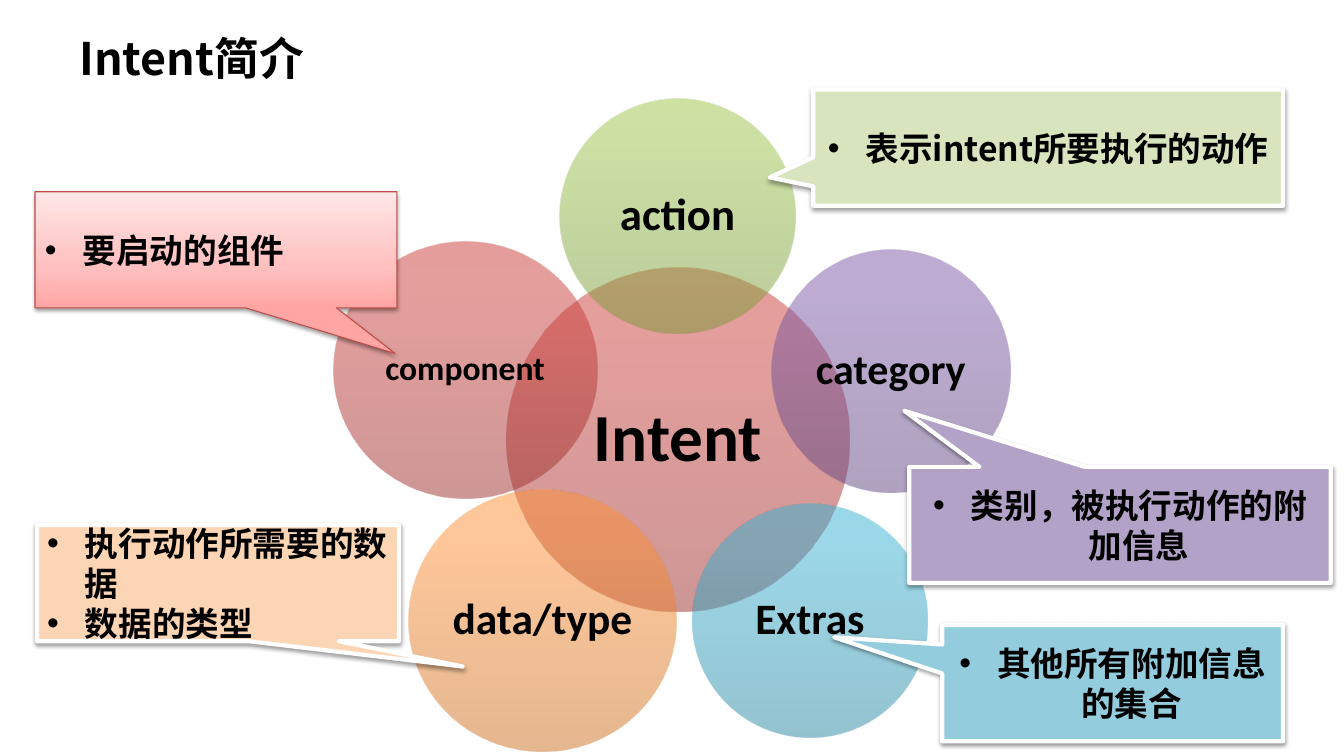
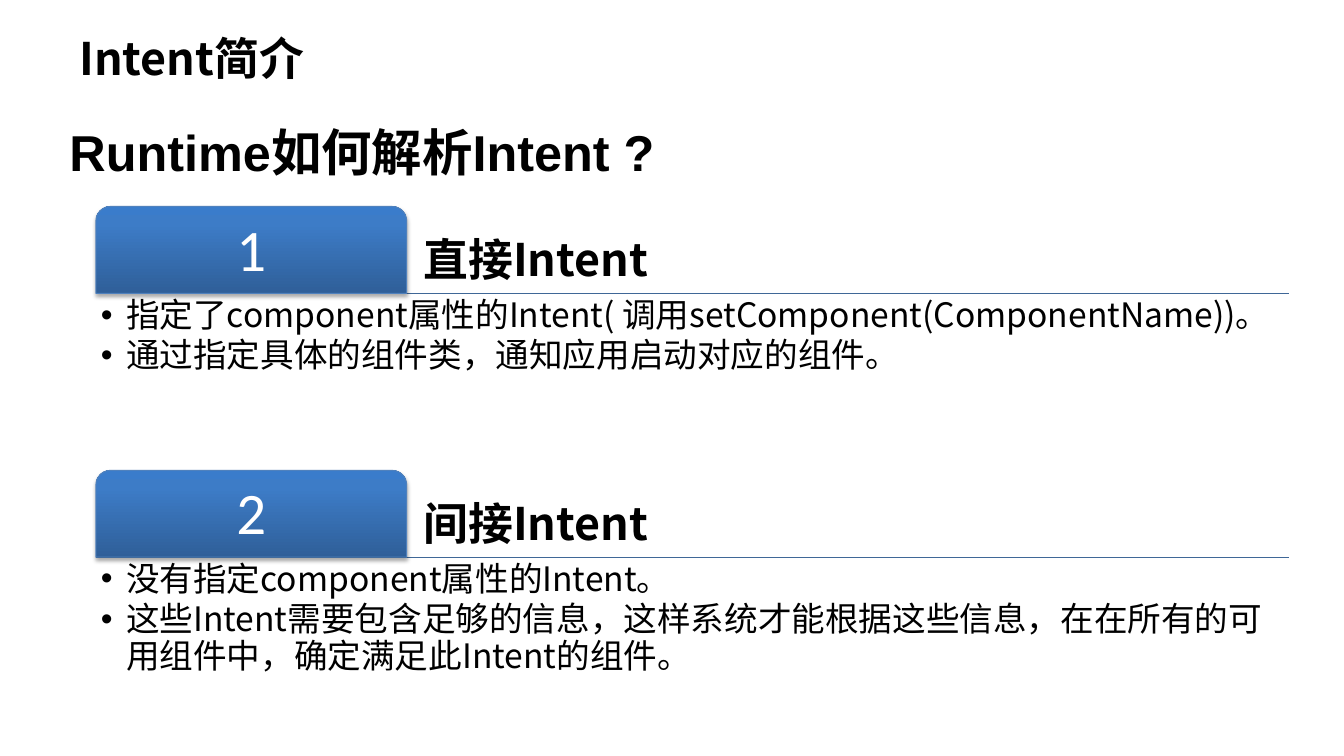
from dataclasses import dataclass

from lxml import etree
from pptx import Presentation
from pptx.dml.color import RGBColor
from pptx.enum.shapes import MSO_CONNECTOR, MSO_SHAPE
from pptx.enum.text import MSO_ANCHOR, MSO_AUTO_SIZE, PP_ALIGN
from pptx.oxml.ns import qn
from pptx.util import Pt

ELLIPSE = MSO_SHAPE.OVAL
CALLOUT = MSO_SHAPE.RECTANGULAR_CALLOUT
TAB = MSO_SHAPE.ROUND_2_SAME_RECTANGLE
STRAIGHT = MSO_CONNECTOR.STRAIGHT
LEFT, CENTER = PP_ALIGN.LEFT, PP_ALIGN.CENTER
TOP, MIDDLE, BOTTOM = MSO_ANCHOR.TOP, MSO_ANCHOR.MIDDLE, MSO_ANCHOR.BOTTOM
NO_AUTOFIT = MSO_AUTO_SIZE.NONE

CJK_FONT, LABEL_FONT, HEADING_FONT = "Noto Sans CJK SC", "Calibri", "Arial"
TWO_CONTENT, TITLE_ONLY = 3, 5

BLACK = RGBColor(0x00, 0x00, 0x00)
WHITE = RGBColor(0xFF, 0xFF, 0xFF)
PEACH = RGBColor(0xFC, 0xD5, 0xB5)
PALE_GREEN = RGBColor(0xD7, 0xE4, 0xBD)
LAVENDER = RGBColor(0xB3, 0xA2, 0xC7)
PALE_AQUA = RGBColor(0x93, 0xCD, 0xDD)
CALLOUT_RED = RGBColor(0xBF, 0x4C, 0x48)
TAB_LINE = RGBColor(0x4F, 0x81, 0xBD)
RULE_BLUE = RGBColor(0x3F, 0x67, 0x97)

Box = tuple[float, float, float, float]
Stops = tuple[tuple[int, RGBColor], ...]


def shaded(dark: RGBColor, middle: RGBColor, light: RGBColor) -> Stops:
    return (0, dark), (80, middle), (100, light)


RED = shaded(RGBColor(0x9C, 0x2F, 0x2D), RGBColor(0xCB, 0x3E, 0x3A), RGBColor(0xCE, 0x3B, 0x37))
GREEN = shaded(RGBColor(0x77, 0x97, 0x37), RGBColor(0x9B, 0xC3, 0x48), RGBColor(0x9D, 0xC7, 0x46))
PURPLE = shaded(RGBColor(0x5F, 0x44, 0x80), RGBColor(0x7B, 0x58, 0xA6), RGBColor(0x7C, 0x57, 0xA8))
AQUA = shaded(RGBColor(0x2A, 0x88, 0xA2), RGBColor(0x37, 0xB1, 0xD2), RGBColor(0x34, 0xB4, 0xD6))
ORANGE = shaded(RGBColor(0xCC, 0x6E, 0x20), RGBColor(0xFF, 0x90, 0x34), RGBColor(0xFF, 0x91, 0x36))
BLUE = shaded(RGBColor(0x2F, 0x5F, 0x99), RGBColor(0x3D, 0x7C, 0xC7), RGBColor(0x3A, 0x7C, 0xCB))
PINK: Stops = ((0, RGBColor(0xFF, 0xA6, 0xA5)), (35, RGBColor(0xFF, 0xC0, 0xBF)),
               (100, RGBColor(0xFF, 0xE7, 0xE7)))


@dataclass(frozen=True)
class TextStyle:
    size: float
    font: str = CJK_FONT
    bold: bool = True
    color: RGBColor = BLACK
    align: PP_ALIGN = LEFT
    line_spacing: float = 1.0
    space_after: float = 0
    indent: float = 0  # hanging indent with a bullet


@dataclass(frozen=True)
class Circle:
    label: str
    box: Box
    size: float
    stops: Stops


@dataclass(frozen=True)
class Callout:
    lines: tuple[str, ...]
    box: Box
    tip: tuple[float, float]
    fill: RGBColor | Stops
    align: PP_ALIGN = CENTER
    line: RGBColor = WHITE
    line_width: float = 3


@dataclass(frozen=True)
class Step:
    heading: str
    points: tuple[str, ...]


TITLE_STYLE = TextStyle(32)
QUESTION_STYLE = TextStyle(36, HEADING_FONT)
HEADING_STYLE = TextStyle(32, line_spacing=0.9)
NUMBER_STYLE = TextStyle(42, LABEL_FONT, False, WHITE, CENTER, 0.9)
POINT_STYLE = TextStyle(24, bold=False, line_spacing=0.9, space_after=3, indent=18)

CIRCLES = (
    Circle("Intent", (361.5, 191.5, 245.5, 245.5), 48, RED),
    Circle("action", (400, 70.5, 168, 168), 32, GREEN),
    Circle("category", (551, 178.5, 170.5, 173), 30, PURPLE),
    Circle("Extras", (494.5, 360, 168, 166.5), 31, AQUA),
    Circle("data/type", (292, 350, 191, 186.5), 31, ORANGE),
    Circle("component", (238, 172.5, 188.5, 183.5), 24, RED),
)
CALLOUTS = (
    Callout(("执行动作所需要的数据", "数据的类型"), (26.5, 375, 258.5, 83),
            (0.676, 0.718), PEACH, LEFT),
    Callout(("表示intent所要执行的动作",), (581, 64, 335.5, 83), (-0.593, 0.256), PALE_GREEN),
    Callout(("类别，被执行动作的附加信息",), (649.5, 333.5, 301, 83), (-0.512, -0.983), LAVENDER),
    Callout(("其他所有附加信息的集合",), (673, 446.5, 243.5, 83), (-0.817, -0.395), PALE_AQUA),
    Callout(("要启动的组件",), (25, 137, 258.5, 83), (0.495, 0.892), PINK, LEFT,
            CALLOUT_RED, 0.75),
)
STEPS = (
    Step("直接Intent", ("指定了component属性的Intent( 调用setComponent(ComponentName))。",
                      "通过指定具体的组件类，通知应用启动对应的组件。")),
    Step("间接Intent", ("没有指定component属性的Intent。",
                      "这些Intent需要包含足够的信息，这样系统才能根据这些信息，"
                      "在在所有的可用组件中，确定满足此Intent的组件。")),
)

# Step grid on the second slide
STEP_LEFT, STEP_RIGHT, STEP_TOP, STEP_PITCH = 68.5, 921, 147.5, 188.5
TAB_WIDTH, TAB_HEIGHT, LIST_HEIGHT = 222, 62, 124


def place(shape, box: Box) -> None:
    shape.left, shape.top, shape.width, shape.height = (Pt(value) for value in box)


def write(shape, lines: tuple[str, ...], style: TextStyle, anchor=TOP,
          insets: Box = (7.2, 3.6, 7.2, 3.6), wrap: bool = True) -> None:
    """Fill a shape with one formatted paragraph per line."""
    frame = shape.text_frame
    frame.auto_size, frame.word_wrap, frame.vertical_anchor = NO_AUTOFIT, wrap, anchor
    (frame.margin_left, frame.margin_top,
     frame.margin_right, frame.margin_bottom) = (Pt(value) for value in insets)
    for index, line in enumerate(lines):
        paragraph = frame.paragraphs[0] if index == 0 else frame.add_paragraph()
        paragraph.alignment = style.align
        paragraph.line_spacing = style.line_spacing
        paragraph.space_before, paragraph.space_after = Pt(0), Pt(style.space_after)
        if style.indent:
            add_bullet(paragraph, style.indent)
        run = paragraph.add_run()
        run.text = line
        run.font.name, run.font.size = style.font, Pt(style.size)
        run.font.bold = style.bold
        run.font.color.rgb = style.color
        east_asian = etree.SubElement(run._r.get_or_add_rPr(), qn("a:ea"))
        east_asian.set("typeface", CJK_FONT)


def add_bullet(paragraph, indent: float) -> None:
    properties = paragraph._p.get_or_add_pPr()
    properties.set("marL", str(Pt(indent)))
    properties.set("indent", str(-Pt(indent)))
    etree.SubElement(properties, qn("a:buFont")).set("typeface", HEADING_FONT)
    etree.SubElement(properties, qn("a:buChar")).set("char", "•")


def add_color(parent, color: RGBColor, opacity: int) -> None:
    element = etree.SubElement(parent, qn("a:srgbClr"), val=str(color))
    if opacity < 100:
        etree.SubElement(element, qn("a:alpha"), val=str(opacity * 1000))


def fill_gradient(shape, stops: Stops, opacity: int = 100) -> None:
    """Shade a shape from bottom to top."""
    shape.fill.gradient()
    shape.fill.gradient_angle = 90
    stop_list = shape._element.spPr.find(qn("a:gradFill")).find(qn("a:gsLst"))
    for old_stop in list(stop_list):
        stop_list.remove(old_stop)
    for position, color in stops:
        stop = etree.SubElement(stop_list, qn("a:gs"), pos=str(position * 1000))
        add_color(stop, color, opacity)


def add_shadow(shape, distance: float, opacity: int) -> None:
    effects = shape._element.spPr.find(qn("a:effectLst"))
    shadow = etree.SubElement(effects, qn("a:outerShdw"), blurRad=str(Pt(3.1)),
                              dist=str(Pt(distance)), dir="5400000", rotWithShape="0")
    add_color(shadow, BLACK, opacity)


def add_figure(slide, kind, box: Box, line: RGBColor | None = None, line_width: float = 0.75):
    """Add a preset shape without shadow and with an explicit outline."""
    shape = slide.shapes.add_shape(kind, *(Pt(value) for value in box))
    shape.shadow.inherit = False
    if line is None:
        shape.line.fill.background()
    else:
        shape.line.color.rgb, shape.line.width = line, Pt(line_width)
    return shape


def add_titled_slide(presentation, layout: int):
    slide = presentation.slides.add_slide(presentation.slide_layouts[layout])
    place(slide.shapes.title, (49.5, 18, 195, 46))
    write(slide.shapes.title, ("Intent简介",), TITLE_STYLE)
    return slide


def add_text(slide, box: Box, text: str, style: TextStyle, **options) -> None:
    write(slide.shapes.add_textbox(*(Pt(value) for value in box)), (text,), style, **options)


def add_circle(slide, circle: Circle) -> None:
    shape = add_figure(slide, ELLIPSE, circle.box)
    fill_gradient(shape, circle.stops, 50)
    style = TextStyle(circle.size, LABEL_FONT, align=CENTER, line_spacing=0.9)
    write(shape, (circle.label,), style, MIDDLE, (3, 3, 3, 3), wrap=False)


def add_callout(slide, callout: Callout) -> None:
    shape = add_figure(slide, CALLOUT, callout.box, callout.line, callout.line_width)
    shape.adjustments[0], shape.adjustments[1] = callout.tip
    if isinstance(callout.fill, RGBColor):
        shape.fill.solid()
        shape.fill.fore_color.rgb = callout.fill
    else:
        fill_gradient(shape, callout.fill)
    add_shadow(shape, 1.6, 38)
    write(shape, callout.lines, TextStyle(24, align=callout.align, indent=27), MIDDLE)


def add_rule(slide, y: float) -> None:
    rule = slide.shapes.add_connector(STRAIGHT, Pt(STEP_LEFT), Pt(y), Pt(STEP_RIGHT), Pt(y))
    rule.line.color.rgb, rule.line.width = RULE_BLUE, Pt(0.75)
    etree.SubElement(rule._element.spPr, qn("a:effectLst"))


def add_step(slide, index: int, step: Step, body) -> None:
    top = STEP_TOP + index * STEP_PITCH
    bottom = top + TAB_HEIGHT
    heading_left = STEP_LEFT + TAB_WIDTH
    add_rule(slide, bottom)
    # Numbered tab and heading
    tab = add_figure(slide, TAB, (STEP_LEFT, top, TAB_WIDTH, TAB_HEIGHT), TAB_LINE)
    fill_gradient(tab, BLUE)
    add_shadow(tab, 1.8, 35)
    write(tab, (str(index + 1),), NUMBER_STYLE, MIDDLE)
    add_text(slide, (heading_left, top, STEP_RIGHT - heading_left, TAB_HEIGHT), step.heading,
             HEADING_STYLE, anchor=BOTTOM, insets=(12, 5, 5, 5))
    # List below the rule
    place(body, (STEP_LEFT, bottom, STEP_RIGHT - STEP_LEFT, LIST_HEIGHT))
    write(body, step.points, POINT_STYLE, insets=(3.6, 3.6, 3.6, 3.6))


def build_parts_slide(presentation) -> None:
    slide = add_titled_slide(presentation, TITLE_ONLY)
    for circle in CIRCLES:
        add_circle(slide, circle)
    for callout in CALLOUTS:
        add_callout(slide, callout)


def build_resolution_slide(presentation) -> None:
    slide = add_titled_slide(presentation, TWO_CONTENT)
    add_text(slide, (42.5, 83, 865, 51), "Runtime如何解析Intent ?", QUESTION_STYLE)
    bodies = [shape for shape in slide.placeholders if shape.placeholder_format.idx > 0]
    for index, (step, body) in enumerate(zip(STEPS, bodies)):
        add_step(slide, index, step, body)


def main() -> None:
    presentation = Presentation()
    presentation.slide_width, presentation.slide_height = Pt(960), Pt(540)
    build_parts_slide(presentation)
    build_resolution_slide(presentation)
    presentation.save("out.pptx")


if __name__ == "__main__":
    main()
